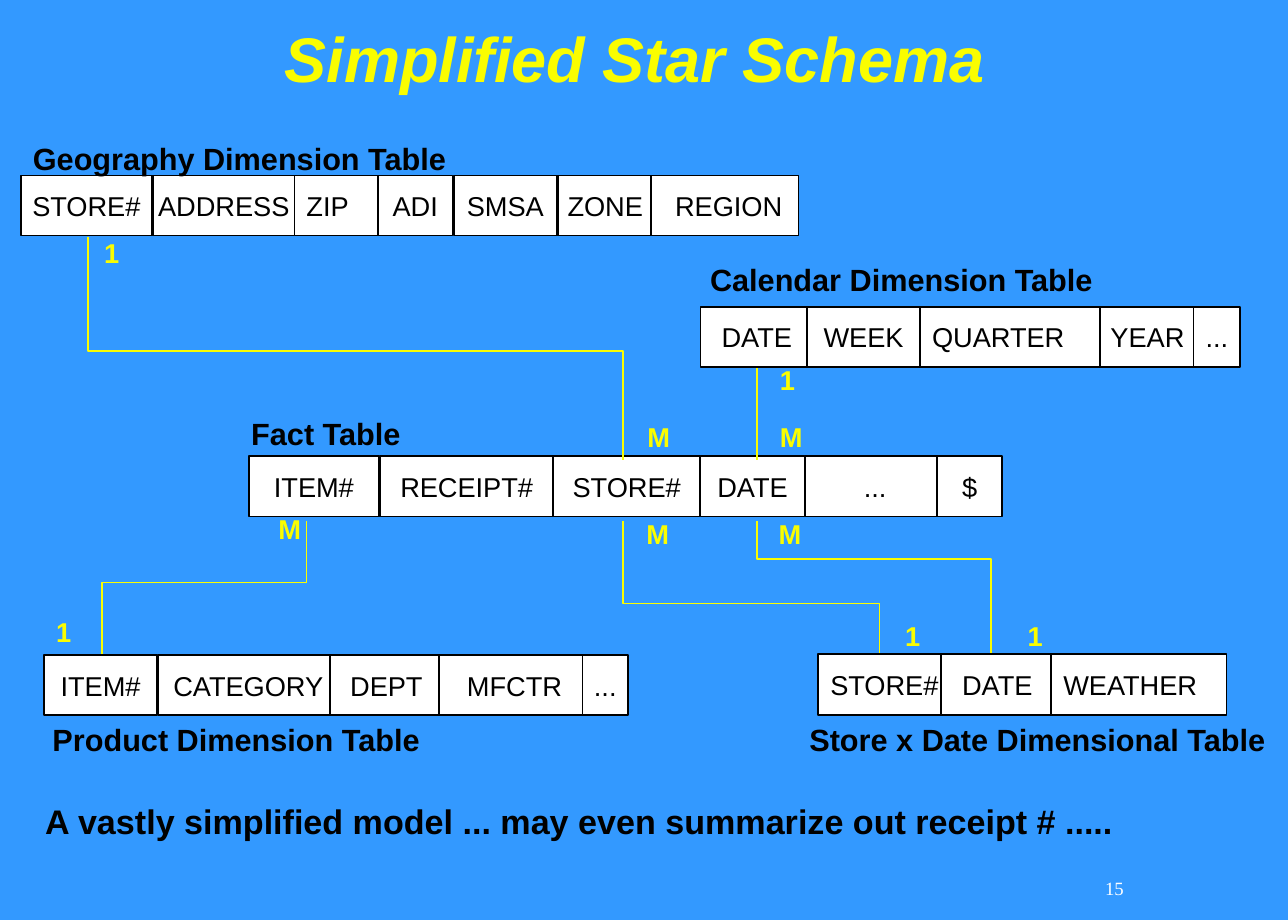
from dataclasses import dataclass

from lxml import etree
from pptx import Presentation, util as u
from pptx.dml.color import RGBColor
from pptx.enum import shapes, text
from pptx.oxml.ns import qn

PX = 9144  # 100 px to the inch
BLACK, WHITE, YELLOW, BLUE = "000000", "FFFFFF", "FAFD00", "3399FF"
LEFT, MID, RIGHT = text.PP_ALIGN.LEFT, text.PP_ALIGN.CENTER, text.PP_ALIGN.RIGHT


@dataclass
class Cell:
    name: str
    x: int
    w: int
    align: text.PP_ALIGN = MID


@dataclass
class Table:
    y: int
    h: int
    cells: list[Cell]


@dataclass
class Label:
    words: str
    x: int
    y: int
    w: int = 39
    h: int = 37
    size: int = 16
    color: str = YELLOW


TABLES = [
    # Product
    Table(534, 49, [Cell("ITEM#", 36, 92), Cell("CATEGORY", 129, 147),
                    Cell("DEPT", 269, 92), Cell("MFCTR", 358, 123),
                    Cell("...", 475, 37)]),
    # Fact
    Table(372, 49, [Cell("ITEM#", 203, 106), Cell("RECEIPT#", 310, 141),
                    Cell("STORE#", 451, 120), Cell("DATE", 571, 85),
                    Cell("...", 656, 115), Cell("$", 764, 53)]),
    # Geography
    Table(143, 49, [Cell("STORE#", 17, 107), Cell("ADDRESS", 125, 115),
                    Cell("ZIP", 240, 69, LEFT), Cell("ADI", 308, 61),
                    Cell("SMSA", 370, 84), Cell("ZONE", 455, 77),
                    Cell(" REGION", 531, 120)]),
    # Calendar
    Table(250, 49, [Cell("DATE", 571, 92), Cell("WEEK", 658, 92),
                    Cell("QUARTER", 750, 148, LEFT), Cell("YEAR", 897, 77),
                    Cell("...", 973, 38)]),
    # Store x Date
    Table(533, 50, [Cell("STORE#", 667, 108), Cell("DATE", 767, 92),
                    Cell("WEATHER", 857, 143, LEFT)]),
]

LABELS = [
    # Table names and closing remark
    Label("Geography Dimension Table", 17, 109, 475, 40, 18, BLACK),
    Label("Calendar Dimension Table", 569, 208, 356, 40, 18, BLACK),
    Label("Fact Table", 195, 333, 196, 40, 18, BLACK),
    Label("Product Dimension Table", 33, 583, 350, 40, 18, BLACK),
    Label("Store x Date Dimensional Table", 650, 583, 400, 40, 18, BLACK),
    Label("A vastly simplified model ... may even summarize out receipt # .....",
          27, 648, 918, 43, 20, BLACK),
    # Ends of the relations
    Label("1", 75, 188), Label("M", 518, 338),
    Label("1", 626, 291), Label("M", 626, 338),
    Label("M", 217, 413), Label("1", 36, 497),
    Label("M", 517, 417), Label("1", 728, 500),
    Label("M", 625, 417, 42), Label("1", 828, 500),
]

ROUTES = [
    [(72, 193), (72, 286), (508, 286), (508, 375)],
    [(250, 425), (250, 475), (83, 475), (83, 533)],
    [(508, 425), (508, 492), (717, 492), (717, 532)],
    [(617, 425), (617, 456), (808, 456), (808, 532)],
]


def rgb(code: str) -> RGBColor:
    return RGBColor.from_string(code)


def box(x: int, y: int, w: int, h: int) -> list[u.Emu]:
    return [u.Emu(n * PX) for n in (x, y, w, h)]


def stroke(line, color: str) -> None:
    line.color.rgb = rgb(color)
    line.width = u.Pt(1)


def write(frame, words: str, size: int, color: str, align=LEFT,
          bold: bool = False, font: str = "Arial"):
    par = frame.paragraphs[0]
    par.alignment = align
    run = par.add_run()
    run.text = words
    run.font.name, run.font.size = font, u.Pt(size)
    run.font.bold = bold
    run.font.color.rgb = rgb(color)
    return par


def note(slide, x: int, y: int, w: int, h: int, anchor=text.MSO_ANCHOR.TOP):
    frame = slide.shapes.add_textbox(*box(x, y, w, h)).text_frame
    frame.word_wrap = True
    frame.vertical_anchor = anchor
    return frame


def draw_table(slide, table: Table) -> None:
    for cell in table.cells:
        rect = slide.shapes.add_shape(shapes.MSO_SHAPE.RECTANGLE,
                                      *box(cell.x, table.y, cell.w, table.h))
        rect.shadow.inherit = False
        rect.fill.solid()
        rect.fill.fore_color.rgb = rgb(WHITE)
        stroke(rect.line, BLACK)
        frame = rect.text_frame
        frame.word_wrap = cell.align == LEFT
        frame.vertical_anchor = text.MSO_ANCHOR.MIDDLE
        write(frame, cell.name, 16, BLACK, cell.align)


def draw_label(slide, label: Label) -> None:
    frame = note(slide, label.x, label.y, label.w, label.h)
    par = write(frame, label.words, label.size, label.color, bold=True)
    par.space_before = u.Pt(label.size * 0.625)


def draw_route(slide, points: list[tuple[int, int]]) -> None:
    pen = slide.shapes.build_freeform(*points[0], scale=PX)
    pen.add_line_segments(points[1:], close=False)
    route = pen.convert_to_shape()
    route.shadow.inherit = False
    route.fill.background()
    stroke(route.line, YELLOW)


def main() -> None:
    deck = Presentation()
    deck.slide_width, deck.slide_height = u.Emu(1050 * PX), u.Emu(750 * PX)
    slide = deck.slides.add_slide(deck.slide_layouts[6])
    slide.background.fill.solid()
    slide.background.fill.fore_color.rgb = rgb(BLUE)

    # Title
    frame = note(slide, 16, 0, 1003, 83, text.MSO_ANCHOR.BOTTOM)
    par = write(frame, "Simplified Star Schema", 37, YELLOW, MID, True)
    par.line_spacing = 0.9
    par.runs[0].font.italic = True

    # Schema
    for table in TABLES:
        draw_table(slide, table)
    for label in LABELS:
        draw_label(slide, label)
    for points in ROUTES:
        draw_route(slide, points)

    # Calendar to fact
    link = slide.shapes.add_connector(shapes.MSO_CONNECTOR.STRAIGHT,
                                      *box(617, 300, 617, 375))
    stroke(link.line, YELLOW)
    etree.SubElement(link._element.spPr, qn("a:effectLst"))

    # Slide number
    frame = note(slide, 809, 699, 117, 50, text.MSO_ANCHOR.MIDDLE)
    write(frame, "15", 11, WHITE, RIGHT, font="Times New Roman")

    deck.save("out.pptx")


if __name__ == "__main__":
    main()
